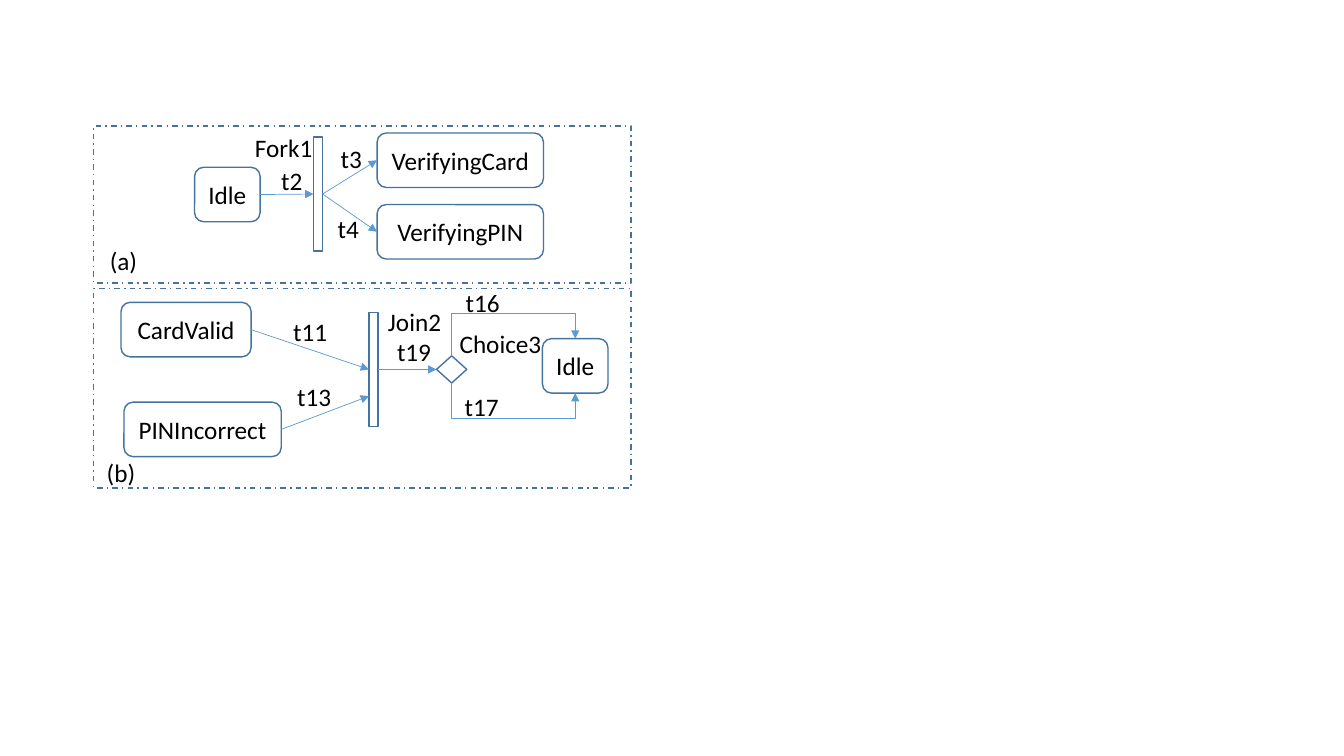
import pptx
import pptx.util
import pptx.dml.color
import pptx.enum.dml
import pptx.enum.shapes
import pptx.enum.text
import pptx.oxml
import pptx.oxml.ns

Inches = pptx.util.Inches
Pt = pptx.util.Pt
RGBColor = pptx.dml.color.RGBColor
KIND = pptx.enum.shapes.MSO_SHAPE
LINK = pptx.enum.shapes.MSO_CONNECTOR
ALIGN = pptx.enum.text.PP_ALIGN
ANCHOR = pptx.enum.text.MSO_ANCHOR

EDGE = RGBColor(0x43, 0x73, 0x9E)
ARROW = RGBColor(0x5B, 0x9B, 0xD5)
INK = RGBColor(0, 0, 0)
FONT = "Calibri"
TOP, LEFT, BOTTOM, RIGHT = range(4)
STATE_H = 0.54
BAR_W, BAR_H = 0.09, 1.13

STATES = {
    "start": ("Idle", 1.93, 1.66, 0.65),
    "card": ("VerifyingCard", 3.74, 1.32, 1.65),
    "pin": ("VerifyingPIN", 3.74, 2.03, 1.65),
    "valid": ("CardValid", 1.2, 3, 1.29),
    "wrong": ("PINIncorrect", 1.23, 3.99, 1.56),
    "end": ("Idle", 5.38, 3.36, 0.65),
}
BARS = {"fork": (3.11, 1.36), "join": (3.66, 3.1)}
CHOICE = (4.33, 3.53, 0.3, 0.27)
FRAMES = [(0.93, 1.25, 5.33, 1.56), (0.93, 2.86, 5.33, 1.98)]
ARROWS = [
    ("start", "fork"),
    ("fork", "card"),
    ("fork", "pin"),
    ("valid", "join"),
    ("join", "choice"),
]
JOIN_LOW = (3.66, 3.93)
LOOPS = [(TOP, 3.11), (BOTTOM, 4.15)]
LABELS = [
    ("t2", 2.69, 1.59, 0.41), ("t3", 3.28, 1.37, 0.41), ("t4", 3.25, 2.07, 0.41),
    ("t11", 2.81, 3.09, 0.54), ("t13", 2.85, 3.73, 0.54), ("t19", 3.84, 3.29, 0.54),
    ("t16", 4.52, 2.8, 0.54), ("t17", 4.51, 3.83, 0.54),
    ("(a)", 0.99, 2.38, 0.48), ("(b)", 0.96, 4.49, 0.49),
    ("Join2", 3.75, 2.99, 0.73), ("Fork1", 2.43, 1.26, 0.78),
    ("Choice3", 4.46, 3.21, 1.02),
]


def write(text, *, frame, align=ALIGN.LEFT, anchor=ANCHOR.TOP, wrap=False, size=18):
    frame.word_wrap = wrap
    frame.vertical_anchor = anchor
    para = frame.paragraphs[0]
    para.text = text
    para.alignment = align
    para.font.name = FONT
    para.font.size = Pt(size)
    para.font.color.rgb = INK


def draw(shapes, kind, box, dash=None):
    shape = shapes.add_shape(kind, *map(Inches, box))
    shape.shadow.inherit = False
    shape.fill.background()
    shape.line.color.rgb = EDGE
    shape.line.width = Pt(1)
    if dash:
        shape.line.dash_style = dash
    return shape


def point(shapes, kind, start, end):
    link = shapes.add_connector(kind, *map(Inches, start + end))
    link.line.color.rgb = ARROW
    link.line.width = Pt(0.5)
    props = link._element.spPr
    tip = pptx.oxml.parse_xml(
        '<a:tailEnd %s type="triangle"/>' % pptx.oxml.ns.nsdecls("a"))
    link.line._get_or_add_ln().append(tip)
    props.append(pptx.oxml.parse_xml(
        "<a:effectLst %s/>" % pptx.oxml.ns.nsdecls("a")))
    return link


def loop(shapes, start, end, level):
    (x1, y1), (x2, y2) = start, end
    wide, high = abs(y2 - y1), x2 - x1
    link = point(shapes, LINK.ELBOW, start, end)
    link.left = Inches((x1 + x2 - wide) / 2)
    link.top = Inches((y1 + y2 - high) / 2)
    link.width, link.height = Inches(wide), Inches(high)
    up = level < y1
    props = link._element.spPr
    frame = props.find(pptx.oxml.ns.qn("a:xfrm"))
    frame.set("rot", str((90 if up else 270) * 60000))
    frame.set("flipH", "1")
    frame.set("flipV", "1" if up else "0")
    bend = round(abs(level - y1) / wide * 100000)
    guides = props.find(".//" + pptx.oxml.ns.qn("a:avLst"))
    guides.append(pptx.oxml.parse_xml(
        '<a:gd %s name="adj1" fmla="val %d"/>' % (pptx.oxml.ns.nsdecls("a"), bend)))


def main():
    deck = pptx.Presentation()
    deck.slide_width, deck.slide_height = Inches(13.33), Inches(7.5)
    shapes = deck.slides.add_slide(deck.slide_layouts[6]).shapes

    for box in FRAMES:
        draw(shapes, KIND.RECTANGLE, box, pptx.enum.dml.MSO_LINE.DASH_DOT)

    nodes = {}
    for key, (text, x, y, wide) in STATES.items():
        nodes[key] = draw(shapes, KIND.ROUNDED_RECTANGLE, (x, y, wide, STATE_H))
        write(text, frame=nodes[key].text_frame, align=ALIGN.CENTER,
              anchor=ANCHOR.MIDDLE, wrap=True)
    for key, spot in BARS.items():
        nodes[key] = draw(shapes, KIND.RECTANGLE, spot + (BAR_W, BAR_H))
    nodes["choice"] = draw(shapes, KIND.FLOWCHART_DECISION, CHOICE)

    for tail, head in ARROWS:
        link = point(shapes, LINK.STRAIGHT, (0, 0), (1, 1))
        link.begin_connect(nodes[tail], RIGHT)
        link.end_connect(nodes[head], LEFT)
    link = point(shapes, LINK.STRAIGHT, (0, 0), JOIN_LOW)
    link.begin_connect(nodes["wrong"], RIGHT)

    x, y, wide, high = CHOICE
    _, end_x, end_y, end_w = STATES["end"]
    for side, level in LOOPS:
        low = side == BOTTOM
        loop(shapes, (x + wide / 2, y + high * low),
             (end_x + end_w / 2, end_y + STATE_H * low), level)

    for text, x, y, wide in LABELS:
        box = shapes.add_textbox(*map(Inches, (x, y, wide, 0.4)))
        write(text, frame=box.text_frame)
        box.text_frame.auto_size = pptx.enum.text.MSO_AUTO_SIZE.SHAPE_TO_FIT_TEXT

    deck.save("out.pptx")


if __name__ == "__main__":
    main()
